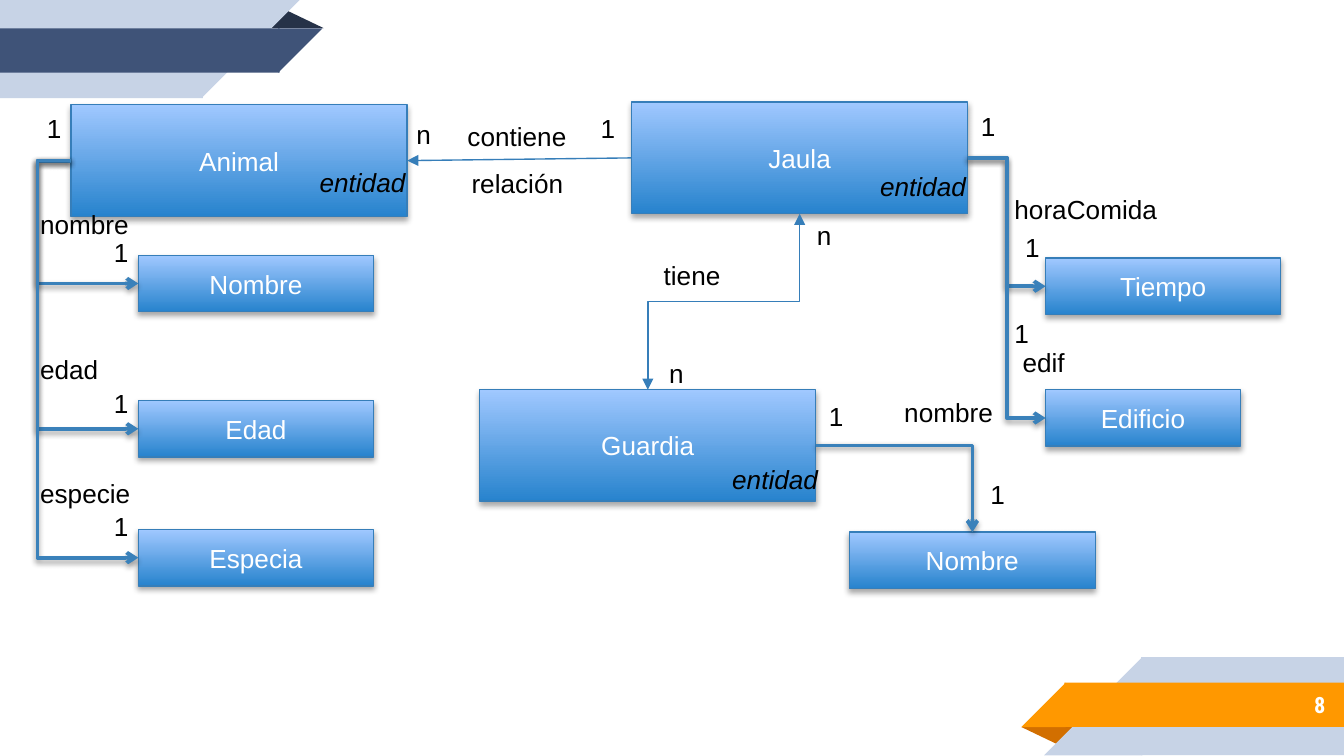
from lxml.etree import SubElement
from pptx import Presentation
from pptx.dml.color import RGBColor
from pptx.enum.shapes import MSO_CONNECTOR as LINK, MSO_SHAPE as SHAPE
from pptx.enum.text import MSO_ANCHOR as ANCHOR, MSO_AUTO_SIZE as FIT, PP_ALIGN as ALIGN
from pptx.oxml.ns import qn
from pptx.util import Inches, Pt

BLACK = RGBColor(0x00, 0x00, 0x00)
WHITE = RGBColor(0xFF, 0xFF, 0xFF)
PALE = RGBColor(0xC7, 0xD3, 0xE6)
NAVY = RGBColor(0x3F, 0x53, 0x78)
DARK_NAVY = RGBColor(0x26, 0x32, 0x48)
ORANGE = RGBColor(0xFF, 0x98, 0x00)
DARK_ORANGE = RGBColor(0xD2, 0x6F, 0x00)
SKY = RGBColor(0xA0, 0xC8, 0xFF)
BLUE = RGBColor(0x27, 0x83, 0xCD)
EDGE = RGBColor(0x36, 0x7E, 0xB9)
ARROW = RGBColor(0x3A, 0x81, 0xBA)

HALF_TURN = {"rot": "10800000"}
QUARTER_TURN = {"rot": "5400000"}
MIRROR = {"flipH": "1"}
UPSIDE_DOWN = {"rot": "10800000", "flipH": "1"}
BOTH_FLIPS = {"rot": "10800000", "flipH": "1", "flipV": "1"}
TOP, LEFT, BOTTOM, RIGHT = range(4)

RIBBONS = [
    (SHAPE.ISOSCELES_TRIANGLE, 7.6, 5.41, 0.43, 0.14, DARK_ORANGE, HALF_TURN),
    (SHAPE.RECTANGLE, 8.49, 4.89, 1.51, 0.73, PALE, MIRROR),
    (SHAPE.RIGHT_TRIANGLE, 7.77, 4.89, 0.73, 0.73, PALE, MIRROR),
    (SHAPE.RECTANGLE, 7.92, 5.08, 2.08, 0.33, ORANGE, MIRROR),
    (SHAPE.RIGHT_TRIANGLE, 7.6, 5.08, 0.33, 0.33, ORANGE, MIRROR),
    (SHAPE.ISOSCELES_TRIANGLE, 1.98, 0.07, 0.43, 0.14, DARK_NAVY, {}),
    (SHAPE.RECTANGLE, 0, 0, 1.51, 0.73, PALE, UPSIDE_DOWN),
    (SHAPE.RIGHT_TRIANGLE, 1.5, 0, 0.73, 0.73, PALE, UPSIDE_DOWN),
    (SHAPE.RECTANGLE, 0, 0.21, 2.08, 0.33, NAVY, UPSIDE_DOWN),
    (SHAPE.RIGHT_TRIANGLE, 2.07, 0.21, 0.33, 0.33, NAVY, UPSIDE_DOWN),
]

ENTITY_SIZE = (2.5, 0.83)
ENTITIES = [
    ("Animal", 0.53, 0.78, (2.28, 1.19, 0.9)),
    ("Jaula", 4.7, 0.76, (6.45, 1.22, 0.92)),
    ("Guardia", 3.57, 2.9, (5.35, 3.4, 1.4)),
]
ATTRIBUTE_HEIGHT = 0.42
ATTRIBUTES = [
    ("Animal", "Nombre", 1.03, 1.9, 1.75),
    ("Animal", "Edad", 1.03, 2.98, 1.75),
    ("Animal", "Especia", 1.03, 3.94, 1.75),
    ("Jaula", "Tiempo", 7.78, 1.92, 1.75),
    ("Jaula", "Edificio", 7.78, 2.9, 1.45),
    ("Guardia", "Nombre", 6.32, 3.96, 1.83),
]
ROUTES = {
    "Animal": (LEFT, LEFT, "bentConnector3", -50000, BOTH_FLIPS),
    "Jaula": (RIGHT, LEFT, "bentConnector3", 50000, {}),
    "Guardia": (RIGHT, TOP, "bentConnector2", None, {}),
}

ONES = [(0.75, 1.71), (0.75, 2.83), (0.75, 3.75), (0.25, 0.79), (7.53, 1.67),
        (7.2, 0.77), (7.45, 2.31), (7.27, 3.51), (6.07, 2.93)]
LABELS = [
    ("nombre", 0.2, 1.5, 0.86),
    ("edad", 0.2, 2.58, 0.64),
    ("especie", 0.2, 3.5, 0.88),
    ("horaComida", 7.45, 1.39, 1.27),
    ("edif", 7.51, 2.53, 0.52),
    ("nombre", 6.63, 2.9, 0.86),
    ("n", 3, 0.83, 0.31),
    ("1", 4.37, 0.79, 0.31),
    ("contiene", 3.38, 0.85, 0.94),
    ("relación", 3.41, 1.2, 0.89),
    ("tiene", 4.84, 1.88, 0.63),
    ("n", 5.98, 1.58, 0.31),
    ("n", 4.88, 2.61, 0.31),
]

deck = Presentation()
deck.slide_width, deck.slide_height = Inches(10), Inches(10 * 9 / 16)
page = deck.slides.add_slide(deck.slide_layouts[6])


def turn(shape, turns):
    xfrm = shape._element.spPr.find(qn("a:xfrm"))
    for name, value in turns.items():
        xfrm.set(name, value)


def add_shadow(effects, distance, opacity):
    shadow = SubElement(effects, qn("a:outerShdw"), blurRad="40000", dist=str(distance),
                        dir="5400000", rotWithShape="0")
    color = SubElement(shadow, qn("a:srgbClr"), val="000000")
    SubElement(color, qn("a:alpha"), val=str(opacity * 1000))


def write(box, text, color, size=14, font="Arial", align=ALIGN.LEFT, **style):
    para = box.text_frame.paragraphs[0]
    para.alignment = align
    span = para.add_run()
    span.text = text
    span.font.size, span.font.name = Pt(size), font
    span.font.color.rgb = color
    span.font.bold, span.font.italic = style.get("bold"), style.get("italic")


def add_label(text, left, top, width, height=0.34, wrap=False, italic=None):
    box = page.shapes.add_textbox(*map(Inches, (left, top, width, height)))
    box.text_frame.word_wrap = wrap
    box.text_frame.auto_size = FIT.SHAPE_TO_FIT_TEXT
    write(box, text, BLACK, italic=italic)


def add_block(text, left, top, width, height):
    block = page.shapes.add_shape(SHAPE.RECTANGLE, *map(Inches, (left, top, width, height)))
    block.fill.gradient()
    block.fill.gradient_angle = 90
    for stop, color in zip(block.fill.gradient_stops, (BLUE, SKY)):
        stop.color.rgb = color
    block.line.color.rgb, block.line.width = EDGE, Pt(0.75)
    block.shadow.inherit = False
    add_shadow(block._element.spPr.find(qn("a:effectLst")), 23000, 35)
    block.text_frame.vertical_anchor = ANCHOR.MIDDLE
    write(block, text, WHITE, align=ALIGN.CENTER)
    return block


def add_link(kind, start, start_side, end, end_side, color, width, **ends):
    link = page.shapes.add_connector(kind, 0, 0, 0, 0)
    link.begin_connect(start, start_side)
    link.end_connect(end, end_side)
    link.line.color.rgb, link.line.width = color, Pt(width)
    line = link._element.spPr.find(qn("a:ln"))
    for name, head in ends.items():
        SubElement(line, qn("a:" + name), type=head)
    return link, SubElement(link._element.spPr, qn("a:effectLst"))


for kind, left, top, width, height, color, turns in RIBBONS:
    ribbon = page.shapes.add_shape(kind, *map(Inches, (left, top, width, height)))
    ribbon.fill.solid()
    ribbon.fill.fore_color.rgb = color
    ribbon.line.fill.background()
    ribbon.shadow.inherit = False
    turn(ribbon, turns)
    if kind == SHAPE.ISOSCELES_TRIANGLE:
        ribbon.adjustments[0] = 0.32

number = page.shapes.add_textbox(*map(Inches, (8.33, 5.07, 1.63, 0.35)))
frame = number.text_frame
frame.word_wrap, frame.vertical_anchor = True, ANCHOR.MIDDLE
frame.margin_top = frame.margin_bottom = Inches(0.1)
write(number, "8", WHITE, 12, "Roboto Condensed", ALIGN.RIGHT, bold=True)

entities = {name: add_block(name, left, top, *ENTITY_SIZE) for name, left, top, _ in ENTITIES}

for owner, name, left, top, width in ATTRIBUTES:
    block = add_block(name, left, top, width, ATTRIBUTE_HEIGHT)
    start_side, end_side, preset, bend, turns = ROUTES[owner]
    link, effects = add_link(LINK.ELBOW, entities[owner], start_side, block, end_side,
                             ARROW, 2, tailEnd="arrow")
    add_shadow(effects, 20000, 38)
    turn(link, turns)
    geometry = link._element.spPr.find(qn("a:prstGeom"))
    geometry.set("prst", preset)
    if bend is not None:
        SubElement(geometry.find(qn("a:avLst")), qn("a:gd"), name="adj1", fmla=f"val {bend}")

add_link(LINK.STRAIGHT, entities["Jaula"], LEFT, entities["Animal"], RIGHT,
         EDGE, 0.75, tailEnd="triangle")
guards, _ = add_link(LINK.ELBOW, entities["Jaula"], BOTTOM, entities["Guardia"], TOP,
                     EDGE, 0.75, headEnd="triangle", tailEnd="triangle")
across, down = guards.width, guards.height
guards.left += (across - down) // 2
guards.top += (down - across) // 2
guards.width, guards.height = down, across
guards._element.spPr.find(qn("a:xfrm")).attrib.pop("flipH", None)
turn(guards, QUARTER_TURN)

for _, _, _, (left, top, width) in ENTITIES:
    add_label("entidad", left, top, width, wrap=True, italic=True)
for left, top in ONES:
    add_label("1", left, top, 0.33, 0.4)
for label in LABELS:
    add_label(*label)

deck.save("out.pptx")
